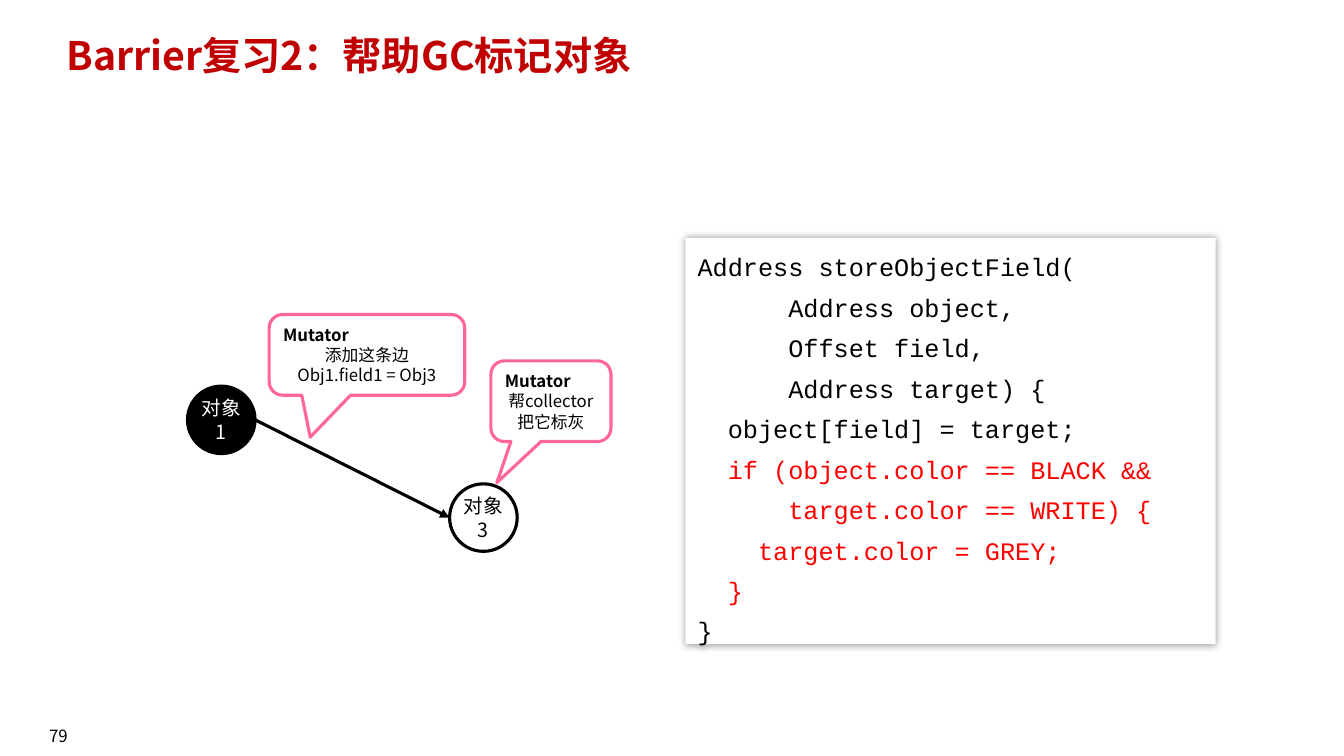
from dataclasses import dataclass

from lxml.etree import SubElement
from pptx import Presentation
from pptx.dml.color import RGBColor
from pptx.enum.shapes import MSO_CONNECTOR, MSO_SHAPE
from pptx.enum.text import MSO_ANCHOR, PP_ALIGN
from pptx.oxml.ns import qn
from pptx.util import Inches, Length, Pt

HUES = {"black": "000000", "white": "FFFFFF", "title": "C00000",
        "pink": "FF6699", "red": "FF0000"}
SANS, MONO = "Noto Sans CJK SC", "Courier New"
WIDE, HIGH = Inches(13.33), Inches(7.5)
EDGE = Pt(2.25)
LEFT, MID = PP_ALIGN.LEFT, PP_ALIGN.CENTER


@dataclass
class Box:
    """A frame in percent of the slide's width and height."""
    x: float
    y: float
    w: float
    h: float

    def place(self) -> tuple[Length, ...]:
        return tuple(Length(round(part * full / 100)) for part, full in
                     ((self.x, WIDE), (self.y, HIGH), (self.w, WIDE), (self.h, HIGH)))


@dataclass
class Line:
    text: str
    size: float
    hue: str = "black"
    bold: bool = False
    align: PP_ALIGN = MID
    font: str = SANS
    after: float = 0
    pitch: float = 1.0


@dataclass
class Node:
    box: Box
    words: list[str]
    fill: str
    hue: str


@dataclass
class Call:
    box: Box
    words: list[str]
    tip: tuple[float, float]


def tint(color, hue: str) -> None:
    color.rgb = RGBColor.from_string(HUES[hue])


def write(frame, lines: list[Line], anchor: MSO_ANCHOR, pad: tuple[float, float]) -> None:
    frame.word_wrap = True
    frame.vertical_anchor = anchor
    frame.margin_left = frame.margin_right = Inches(pad[0])
    frame.margin_top = frame.margin_bottom = Inches(pad[1])
    for spot, line in enumerate(lines):
        para = frame.add_paragraph() if spot else frame.paragraphs[0]
        para.text = line.text
        para.alignment = line.align
        para.line_spacing = line.pitch
        para.space_after = Pt(line.after)
        font = para.font
        font.name, font.size, font.bold = line.font, Pt(line.size), line.bold
        font.fill.solid()
        tint(font.fill.fore_color, line.hue)
        props = para._p.pPr.find(qn("a:defRPr"))
        SubElement(props, qn("a:ea"), typeface=line.font)


def draw(slide, kind: MSO_SHAPE, box: Box, fill: str, edge: str = ""):
    shape = slide.shapes.add_shape(kind, *box.place())
    shape.shadow.inherit = False
    shape.fill.solid()
    tint(shape.fill.fore_color, fill)
    if edge:
        tint(shape.line.color, edge)
        shape.line.width = EDGE
    else:
        shape.line.fill.background()
    return shape


def link(slide, start, end) -> None:
    """Arrow from the right of one node to the left of another."""
    arrow = slide.shapes.add_connector(
        MSO_CONNECTOR.STRAIGHT,
        start.left + start.width, start.top + start.height // 2,
        end.left, end.top + end.height // 2)
    tint(arrow.line.color, "black")
    arrow.line.width = EDGE
    SubElement(arrow.line._get_or_add_ln(), qn("a:tailEnd"), type="triangle")
    SubElement(arrow._element.spPr, qn("a:effectLst"))


def glow(shape) -> None:
    """Soft shadow on all sides."""
    effects = shape._element.spPr.find(qn("a:effectLst"))
    shade = SubElement(effects, qn("a:outerShdw"), blurRad=str(Pt(5)),
                       dist="0", dir="0", algn="ctr", rotWithShape="0")
    color = SubElement(shade, qn("a:srgbClr"), val=HUES["black"])
    SubElement(color, qn("a:alpha"), val="40000")


NODES = [
    Node(Box(13.95, 51.07, 5.03, 8.93), ["对象1"], "black", "white"),
    Node(Box(33.45, 64, 5.03, 8.93), ["对象", "3"], "white", "black"),
]
CALLS = [
    Call(Box(20.03, 41.6, 14.55, 10.67), ["添加这条边", "Obj1.field1 = Obj3"], (-0.29, 1.02)),
    Call(Box(36.53, 47.73, 8.93, 10.67), ["帮collector", "把它标灰"], (-0.45, 1.01)),
]
CODE = """Address storeObjectField(
      Address object,
      Offset field,
      Address target) {
  object[field] = target;
  if (object.color == BLACK &&
      target.color == WRITE) {
    target.color = GREY;
  }
}""".split("\n")
BARRIER = range(5, 9)


def main() -> None:
    deck = Presentation()
    deck.slide_width, deck.slide_height = WIDE, HIGH
    slide = deck.slides.add_slide(deck.slide_layouts[5])

    # Title and page number
    title = slide.shapes.title
    title.left, title.top, title.width, title.height = Box(4.2, 4.13, 86.25, 8.67).place()
    write(title.text_frame,
          [Line("Barrier复习2：帮助GC标记对象", 28, "title", True, LEFT, pitch=0.9)],
          MSO_ANCHOR.TOP, (0.1, 0.05))
    page = slide.shapes.add_textbox(*Box(0, 94.67, 8.7, 5.33).place())
    write(page.text_frame, [Line("79", 12)], MSO_ANCHOR.MIDDLE, (0.1, 0.05))

    # Objects and the edge between them
    discs = []
    for node in NODES:
        disc = draw(slide, MSO_SHAPE.OVAL, node.box, node.fill, "black")
        write(disc.text_frame, [Line(word, 14, node.hue) for word in node.words],
              MSO_ANCHOR.MIDDLE, (0, 0))
        discs.append(disc)
    link(slide, *discs)

    # Mutator callouts
    for call in CALLS:
        bubble = draw(slide, MSO_SHAPE.ROUNDED_RECTANGULAR_CALLOUT, call.box, "white", "pink")
        bubble.adjustments[0], bubble.adjustments[1] = call.tip
        write(bubble.text_frame,
              [Line("Mutator", 12, bold=True, align=LEFT)]
              + [Line(word, 12) for word in call.words],
              MSO_ANCHOR.MIDDLE, (0.1, 0.05))

    # Code panel with the barrier in red
    panel = draw(slide, MSO_SHAPE.RECTANGLE, Box(51, 31.47, 39.46, 53.73), "white")
    glow(panel)
    write(panel.text_frame,
          [Line(text, 18, "red" if row in BARRIER else "black", align=LEFT,
                font=MONO, after=6, pitch=1.06) for row, text in enumerate(CODE)],
          MSO_ANCHOR.TOP, (0.12, 0.12))

    deck.save("out.pptx")


if __name__ == "__main__":
    main()
